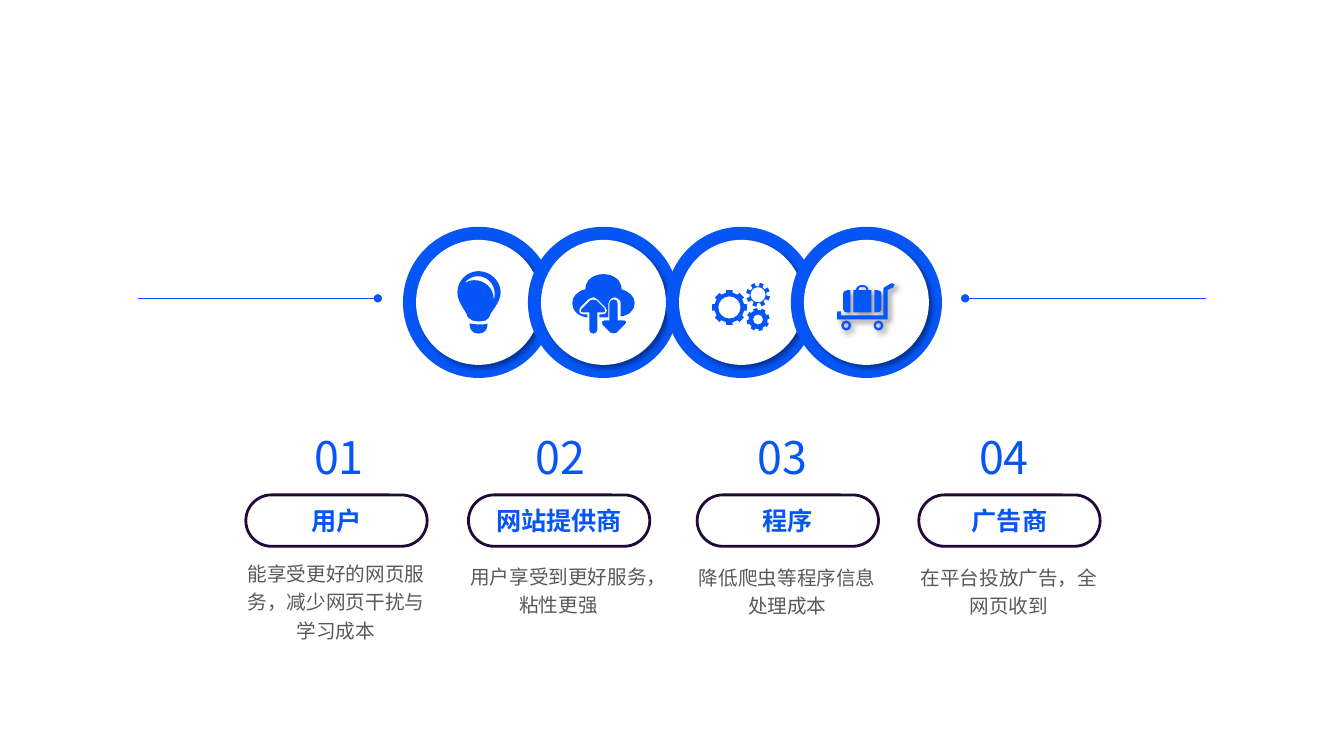
from dataclasses import dataclass
from math import cos, pi, sin, tau
from typing import NamedTuple

from lxml import etree
from pptx import Presentation
from pptx.dml.color import RGBColor
from pptx.enum.shapes import MSO_CONNECTOR, MSO_SHAPE
from pptx.enum.text import MSO_ANCHOR, PP_ALIGN
from pptx.oxml.ns import qn
from pptx.util import Emu, Inches, Pt

OVAL, PILL, STRAIGHT = MSO_SHAPE.OVAL, MSO_SHAPE.ROUNDED_RECTANGLE, MSO_CONNECTOR.STRAIGHT
CENTER, TOP, MIDDLE = PP_ALIGN.CENTER, MSO_ANCHOR.TOP, MSO_ANCHOR.MIDDLE


@dataclass(frozen=True)
class Theme:
    """Colours, font and type sizes of the deck."""
    blue: RGBColor = RGBColor(0x06, 0x56, 0xF7)
    white: RGBColor = RGBColor(0xFF, 0xFF, 0xFF)
    plum: RGBColor = RGBColor(0x20, 0x08, 0x38)
    gray: RGBColor = RGBColor(0x59, 0x59, 0x59)
    font: str = "Noto Sans CJK SC"
    number: int = 32
    label: int = 18
    caption: int = 14


class Role(NamedTuple):
    """One party: ring centre, icon, column centre and texts, in grid steps."""
    ring: int
    icon: list
    icon_shadow: bool
    column: int
    label: str
    caption: str
    caption_top: int


THEME = Theme()


def grid(steps: float) -> Emu:
    """Turn grid steps, a hundred to the inch, into a length."""
    return Inches(steps / 100)


def circle(x: float, y: float, radius: float) -> list:
    """Return a circle as a start point and four Bezier curves."""
    r, k = radius, radius * 0.55
    return [(x + r, y), (x + r, y + k, x + k, y + r, x, y + r),
            (x - k, y + r, x - r, y + k, x - r, y), (x - r, y - k, x - k, y - r, x, y - r),
            (x + k, y - r, x + r, y - k, x + r, y)]


def gear(x: float, y: float, tip: float, root: float, hole: float, turn: float) -> list:
    """Return the contours of an eight-tooth gear turned by some degrees."""
    rim = []
    for tooth in range(8):
        middle = tooth * tau / 8 - turn * pi / 180
        for offset, radius in ((-0.22, root), (-0.18, tip), (0.18, tip), (0.22, root)):
            rim.append((x + radius * cos(middle + offset), y + radius * sin(middle + offset)))
    return [rim, circle(x, y, hole)]


# A contour is a start point, then lines (2 values) and Bezier curves (6 values).
BULB = [
    [[(-9, 21), (-7, 21, -3, 22, 0, 22), (3, 22, 7, 22, 9, 21),
      (9, 27, 6, 31, 0, 31), (-6, 31, -9, 27, -9, 21)]],
    [[(0, -31), (12, -31, 22, -21, 22, -10), (22, 1, 11, 10, 11, 14),
      (11, 15, 9, 16, 7, 18), (5, 18, 3, 19, 0, 19), (-1, 19, -4, 18, -6, 18),
      (-9, 16, -11, 15, -11, 14), (-11, 10, -21, 1, -21, -10), (-21, -21, -12, -31, 0, -31)],
     [(-4, -22), (6, -22, 15, -14, 15, -4), (15, -2), (16, -4, 16, -7, 16, -9),
      (16, -18, 9, -26, -1, -26), (-6, -26, -11, -23, -14, -19), (-11, -21, -8, -22, -4, -22)]],
]
UP_ARROW = [(-6, 10), (-6, 27), (-6, 29, -8, 31, -10, 31), (-13, 31, -14, 29, -14, 27),
            (-14, 10), (-20, 10), (-23, 10, -23, 8, -21, 6), (-13, -2),
            (-11, -3, -10, -3, -7, -2), (1, 6), (2, 8, 2, 10, -1, 10)]
DOWN_ARROW = [tuple(28 - value if index % 2 else -value for index, value in enumerate(segment))
              for segment in UP_ARROW]
CLOUD = [
    (18, -13), (25, -11, 31, -6, 31, 1), (31, 8, 25, 13, 17, 14), (17, 1),
    (17, -1, 17, -2, 15, -3), (14, -4, 13, -5, 11, -5), (9, -5, 8, -4, 7, -3),
    (6, -2, 5, -1, 5, 1), (5, 15), (-4, 15), (-4, 12), (-1, 12), (0, 12, 1, 12, 2, 11),
    (2, 11, 3, 10, 3, 9), (4, 9, 4, 8, 3, 7), (3, 6, 3, 6, 2, 5), (-6, -3),
    (-7, -4, -9, -5, -10, -5), (-12, -5, -13, -4, -15, -3), (-23, 5),
    (-23, 6, -24, 6, -24, 7), (-24, 9), (-24, 10, -23, 11, -23, 11),
    (-22, 12, -21, 12, -20, 12), (-16, 12), (-16, 15), (-25, 14, -31, 8, -31, 1),
    (-31, -6, -26, -11, -18, -13), (-18, -22, -10, -28, 0, -28), (10, -28, 18, -22, 18, -13)]
TRANSFER = [[UP_ARROW], [CLOUD], [DOWN_ARROW]]
GEARS = [gear(-12, 5, 17.5, 15, 11, 0), gear(16.5, 17, 11.5, 9.5, 5, 15),
         gear(16.5, -7.5, 12, 8.5, 7.5, 27)]
CASE_LEFT = [(-16, -12), (-16, 10), (-19, 10), (-21, 10, -23, 9, -23, 7), (-23, -9),
             (-23, -11, -21, -12, -19, -12)]
CASE_RIGHT = [tuple(value if index % 2 else -8 - value for index, value in enumerate(segment))
              for segment in CASE_LEFT]
CASE_BODY = [(2, -12), (2, -15, 0, -17, -2, -17), (-6, -17), (-8, -17, -10, -15, -11, -12),
             (-13, -12), (-13, 10), (5, 10), (5, -12)]
CASE_GRIP = [(-8, -12), (-8, -15, -6, -15, -6, -15), (-2, -15), (-1, -15, 0, -14, 0, -12)]
CART = [(27, -15), (21, -12), (21, 17), (-29, 17), (-29, 9), (-25, 9), (-25, 13),
        (17, 13), (17, -14), (18, -15), (25, -19), (26, -19, 27, -19, 28, -18),
        (28, -17, 28, -16, 27, -15)]
WHEELS = [circle(x, 23, radius) for x in (-20, 12) for radius in (5, 2.5)]
TROLLEY = [[CASE_LEFT, CASE_RIGHT, CASE_BODY, CASE_GRIP, CART, *WHEELS]]

RING_MIDDLE, RING_SIZE, DISC_SIZE = 300, 150, 124
NUMBER_START, NUMBER_STEP = 336.5, 220
ROLES = [
    Role(475, BULB, False, 334, "用户", "能享受更好的网页服务，减少网页干扰与学习成本", 548),
    Role(599, TRANSFER, False, 555, "网站提供商", "用户享受到更好服务，粘性更强", 551),
    Role(736, GEARS, False, 782, "程序", "降低爬虫等程序信息处理成本", 552),
    Role(860, TROLLEY, True, 1002, "广告商", "在平台投放广告，全网页收到", 552),
]


def paint(shape, color: RGBColor, shadow: bool = False) -> None:
    """Fill a shape without outline, with or without a soft shadow."""
    shape.fill.solid()
    shape.fill.fore_color.rgb = color
    shape.line.fill.background()
    shape.shadow.inherit = False
    if shadow:
        effects = shape.element.spPr.find(qn("a:effectLst"))
        outer = etree.SubElement(effects, qn("a:outerShdw"), blurRad=str(Pt(4)), dist=str(Pt(3)),
                                 dir="2700000", algn="tl", rotWithShape="0")
        tint = etree.SubElement(outer, qn("a:srgbClr"), val="000000")
        etree.SubElement(tint, qn("a:alpha"), val="40000")


def write(box, text: str, size: int, color: RGBColor, *, bold: bool = False, wrap: bool = True,
          spacing: float = 1.0, anchor=TOP) -> None:
    """Put one centred, formatted paragraph into a box."""
    frame = box.text_frame
    frame.word_wrap, frame.vertical_anchor = wrap, anchor
    para = frame.paragraphs[0]
    para.alignment, para.line_spacing = CENTER, spacing
    span = para.add_run()
    span.text = text
    span.font.size, span.font.bold = Pt(size), bold
    span.font.color.rgb, span.font.name = color, THEME.font
    etree.SubElement(span.font._element, qn("a:ea"), typeface=THEME.font)


def draw_outline(parts, outline: list, middle: int):
    """Draw contours as one freeform, then bend its curved segments."""
    placed = [[[(grid(middle + x), grid(RING_MIDDLE + y)) for x, y in zip(part[::2], part[1::2])]
               for part in points] for points in outline]
    builder = parts.build_freeform(*placed[0][0][-1])
    for index, points in enumerate(placed):
        if index:
            builder.move_to(*points[0][-1])
        builder.add_line_segments([part[-1] for part in points[1:]], close=True)
    shape = builder.convert_to_shape()
    left, top = shape.left, shape.top
    segments = [part for points in placed for part in points[1:]]
    for node, part in zip(list(shape.element.iter(qn("a:lnTo"))), segments):
        if len(part) == 3:
            node.tag = qn("a:cubicBezTo")
            for index, (x, y) in enumerate(part[:2]):
                node.insert(index, node.makeelement(qn("a:pt"), x=str(x - left), y=str(y - top)))
    return shape


def draw_ring(page, role: Role) -> None:
    """Draw a blue ring with its white disc and icon as one group."""
    parts = page.shapes.add_group_shape().shapes
    for size, color in ((RING_SIZE, THEME.blue), (DISC_SIZE, THEME.white)):
        disc = parts.add_shape(OVAL, grid(role.ring - size / 2), grid(RING_MIDDLE - size / 2),
                               grid(size), grid(size))
        paint(disc, color, shadow=size == DISC_SIZE)
    for outline in role.icon:
        paint(draw_outline(parts, outline, role.ring), THEME.blue, role.icon_shadow)


def draw_line(page, start: float, end: float) -> None:
    """Draw a thin level line that ends in a dot."""
    line = page.shapes.add_connector(STRAIGHT, grid(start), grid(296), grid(end), grid(296))
    line.line.color.rgb, line.line.width = THEME.blue, Pt(0.75)
    etree.SubElement(line.line._get_or_add_ln(), qn("a:tailEnd"), type="oval")
    etree.SubElement(line._element.spPr, qn("a:effectLst"))


def draw_column(page, index: int, role: Role) -> None:
    """Draw the number, label pill and caption of one role."""
    number_middle = NUMBER_START + index * NUMBER_STEP
    number = page.shapes.add_textbox(grid(number_middle - 36.5), grid(421), grid(73), grid(64))
    write(number, f"{index + 1:02}", THEME.number, THEME.blue, wrap=False)
    pill = page.shapes.add_shape(PILL, grid(role.column - 90), grid(491), grid(180), grid(51))
    pill.adjustments[0] = 0.5
    pill.fill.background()
    pill.line.color.rgb, pill.line.width = THEME.plum, Pt(2)
    pill.shadow.inherit = False
    write(pill, role.label, THEME.label, THEME.blue, bold=True, anchor=MIDDLE)
    caption = page.shapes.add_textbox(grid(role.column - 100), grid(role.caption_top),
                                      grid(199), grid(65))
    write(caption, role.caption, THEME.caption, THEME.gray, spacing=1.2)


def build() -> None:
    """Build the slide and save the deck."""
    deck = Presentation()
    deck.slide_width, deck.slide_height = Inches(13.34), Inches(7.5)
    page = deck.slides.add_slide(deck.slide_layouts[6])
    for role in ROLES:
        draw_ring(page, role)
    for start, end in ((137, 375), (1197, 958)):
        draw_line(page, start, end)
    for index, role in enumerate(ROLES):
        draw_column(page, index, role)
    deck.save("out.pptx")


build()
